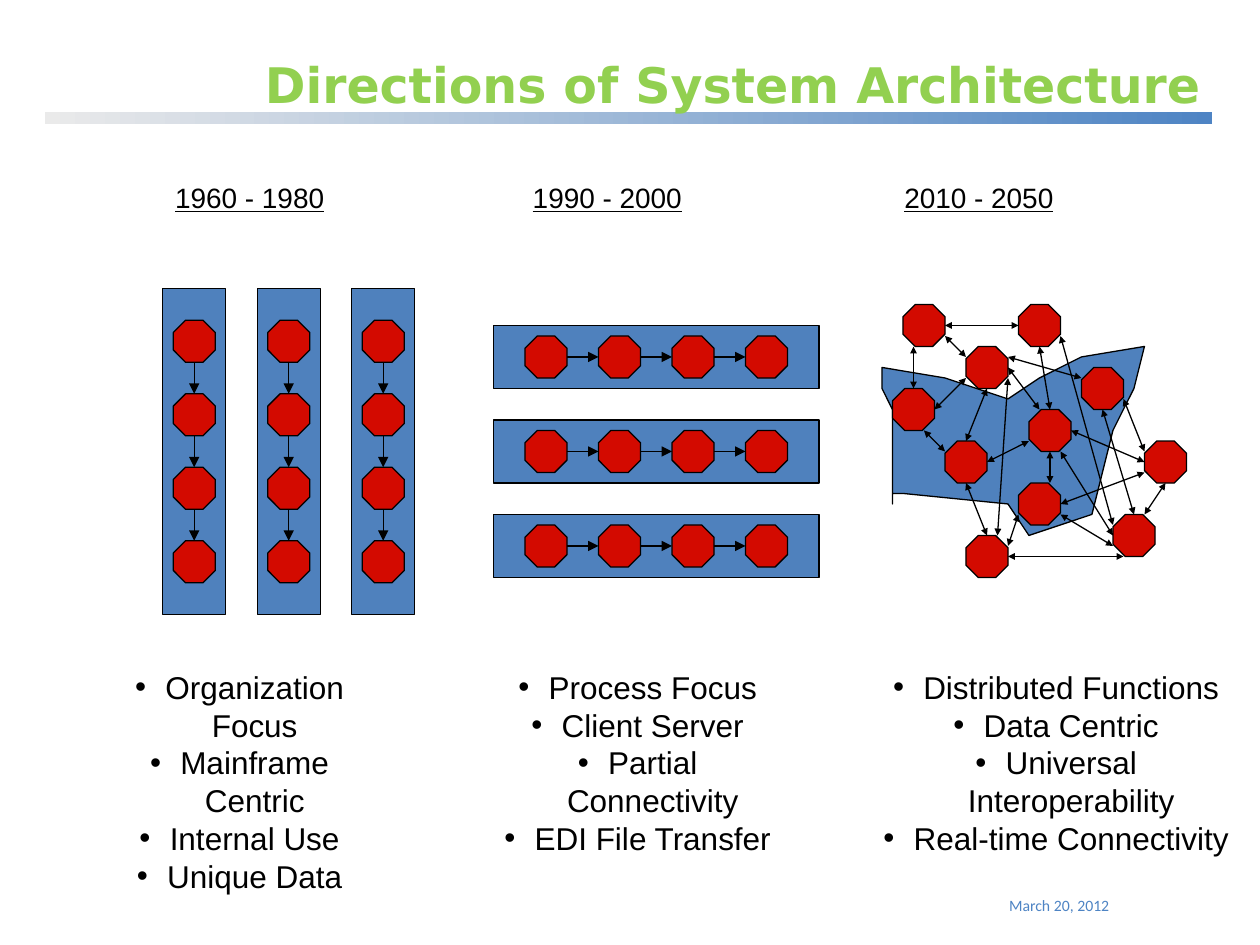
from lxml import etree
from pptx import Presentation
from pptx.dml.color import RGBColor
from pptx.enum.shapes import MSO_CONNECTOR, MSO_SHAPE
from pptx.enum.text import MSO_ANCHOR, PP_ALIGN
from pptx.oxml.ns import qn
from pptx.util import Cm, Pt

LINE = MSO_CONNECTOR.STRAIGHT
RECT, OCTAGON = MSO_SHAPE.RECTANGLE, MSO_SHAPE.OCTAGON
TOP, BOTTOM = MSO_ANCHOR.TOP, MSO_ANCHOR.BOTTOM
LEFT, CENTER, RIGHT = PP_ALIGN.LEFT, PP_ALIGN.CENTER, PP_ALIGN.RIGHT

BLACK = RGBColor(0, 0, 0)
BLUE = RGBColor(0x4F, 0x81, 0xBD)
RED = RGBColor(0xD3, 0x0A, 0x00)
GREEN = RGBColor(0x92, 0xD0, 0x50)
GRAY = RGBColor(0xEA, 0xEA, 0xEA)
ACCENT = RGBColor(0x4E, 0x84, 0xC4)

UNIT = 2.54 / 12    # diagram grid step in cm
NODE = 4            # octagon size in grid steps
PITCH = 7           # from node to node in a chain
GAP = 9             # from bar to bar


def grid(n):
    return Cm(n * UNIT)


class Painter:
    font = "Arial"
    color = BLACK
    width = Pt(0.75)

    def __init__(self, slide):
        self.shapes = slide.shapes

    def style(self, shape, fill):
        shape.shadow.inherit = False
        shape.fill.solid()
        shape.fill.fore_color.rgb = fill
        shape.line.color.rgb = BLACK
        shape.line.width = self.width

    def block(self, kind, x, y, w, h, fill):
        shape = self.shapes.add_shape(kind, grid(x), grid(y), grid(w), grid(h))
        self.style(shape, fill)

    def node(self, x, y):
        self.block(OCTAGON, x, y, NODE, NODE, RED)

    def outline(self, points, fill):
        build = self.shapes.build_freeform(*points[0], scale=grid(1))
        build.add_line_segments(points[1:], close=True)
        self.style(build.convert_to_shape(), fill)

    def arrow(self, x1, y1, x2, y2, ends=("tailEnd",), size="med"):
        link = self.shapes.add_connector(
            LINE, grid(x1), grid(y1), grid(x2), grid(y2))
        link.line.color.rgb = BLACK
        link.line.width = self.width
        for end in ends:
            etree.SubElement(link.line._get_or_add_ln(), qn("a:" + end),
                             type="triangle", w=size, len=size)
        etree.SubElement(link._element.spPr, qn("a:effectLst"))

    def band(self, x, y, w, h, start, stop):
        bar = self.shapes.add_shape(RECT, Cm(x), Cm(y), Cm(w), Cm(h))
        bar.shadow.inherit = False
        bar.line.fill.background()
        bar.fill.gradient()
        bar.fill.gradient_angle = 0
        for mark, color in zip(bar.fill.gradient_stops, (start, stop)):
            mark.color.rgb = color

    def text(self, x, y, w, h, lines, size, font=None, color=None, align=LEFT,
             anchor=TOP, bold=False, under=False, space=None, bullet=False):
        box = self.shapes.add_textbox(Cm(x), Cm(y), Cm(w), Cm(h))
        frame = box.text_frame
        frame.word_wrap = True
        frame.vertical_anchor = anchor
        for i, line in enumerate(lines):
            para = frame.add_paragraph() if i else frame.paragraphs[0]
            para.alignment = align
            if space:
                para.line_spacing = space
            if bullet:
                props = para._p.get_or_add_pPr()
                props.set("marL", str(Cm(0.61)))
                props.set("indent", str(-Cm(0.61)))
                etree.SubElement(props, qn("a:buFont"), typeface="Arial")
                etree.SubElement(props, qn("a:buChar"), char="•")
            run = para.add_run()
            run.text = line
            run.font.size = Pt(size)
            run.font.name = font or self.font
            run.font.color.rgb = color or self.color
            run.font.bold = bold
            run.font.underline = under
        return frame


def curve(a, b, c, d, steps=16):
    """Points along a cubic curve from a to d."""
    result = []
    for i in range(steps + 1):
        t = i / steps
        s = 1 - t
        result.append(tuple(
            s**3 * p + 3 * s * s * t * q + 3 * s * t * t * r + t**3 * u
            for p, q, r, u in zip(a, b, c, d)))
    return result


deck = Presentation()
deck.slide_width, deck.slide_height = Cm(25.4), Cm(19.05)
paint = Painter(deck.slides.add_slide(deck.slide_layouts[6]))

# Date, title and rule
paint.text(18.67, 17.93, 3.94, 0.89, ["March 20, 2012"], 9, "Calibri",
           ACCENT, RIGHT)
paint.band(0.91, 2.26, 23.52, 0.25, GRAY, ACCENT)
paint.text(0.97, 0.76, 23.47, 1.65, ["Directions of System Architecture"], 28,
           "DejaVu Sans", GREEN, RIGHT, BOTTOM, bold=True, space=1.15)

# Data cloud behind the web
paint.outline(curve((84, 35), (86, 47.3), (83, 49.7), (86.5, 46.6)) + [
    (96.5, 48), (98.4, 51), (104.2, 49), (106, 41), (108, 37), (109, 33),
    (103.2, 34), (99.4, 36), (95.5, 38), (89.8, 36)], BLUE)

# Upright and level chains
for i in range(3):
    x, y = 15.5 + GAP * i, 27.5
    paint.block(RECT, x, y, 6, 31, BLUE)
    for j in range(4):
        top = y + 3 + PITCH * j
        paint.node(x + 1, top)
        if j < 3:
            paint.arrow(x + 3, top + NODE, x + 3, top + PITCH)

    x, y = 47, 31 + GAP * i
    paint.block(RECT, x, y, 31, 6, BLUE)
    for j in range(4):
        left = x + 3 + PITCH * j
        paint.node(left, y + 1)
        if j < 3:
            paint.arrow(left + NODE, y + 3, left + PITCH, y + 3)

# Web of nodes
NODES = [(86, 29), (97, 29), (85, 37), (92, 33), (103, 35), (90, 42),
         (98, 39), (92, 51), (109, 42), (97, 46), (106, 49)]
LINKS = [
    (90, 32, 92, 34), (90, 31, 97, 31), (87, 33, 87, 37), (94, 37, 92, 42),
    (92, 46, 94, 51), (99, 33, 100, 39), (105, 39, 108, 49),
    (101, 32, 106, 50), (96, 36, 95, 51), (88, 41, 90, 43), (96, 35, 99, 39),
    (100, 43, 100, 46), (101, 43, 106, 51), (107, 38, 109, 43),
    (111, 46, 109, 49), (96, 53, 107, 53), (101, 49, 106, 52),
    (97, 49, 96, 52), (92, 36, 89, 39), (98, 42, 94, 44), (96, 34, 103, 36),
    (102, 41, 109, 44), (101, 48, 109, 45)]
for spot in NODES:
    paint.node(*spot)
for link in LINKS:
    paint.arrow(*link, ends=("headEnd", "tailEnd"), size="sm")

# Eras: heading left, heading, list left, list width, right inset, points
ERAS = [
    (3.28, "1960 - 1980", 2.49, 6.25, 1.57,
     ["Organization Focus", "Mainframe Centric", "Internal Use",
      "Unique Data"]),
    (10.49, "1990 - 2000", 9.96, 6.17, 0.38,
     ["Process Focus", "Client Server", "Partial Connectivity",
      "EDI File Transfer"]),
    (17.98, "2010 - 2050", 17.58, 7.72, 0.3,
     ["Distributed Functions", "Data Centric", "Universal Interoperability",
      "Real-time Connectivity"])]
for head, era, left, wide, inset, points in ERAS:
    paint.text(head, 3.51, 4.6, 1.27, [era], 16, under=True)
    frame = paint.text(left, 13.34, wide, 3.99, points, 18, align=CENTER,
                       bullet=True)
    frame.margin_left, frame.margin_right = 0, Cm(inset)

deck.save("out.pptx")
